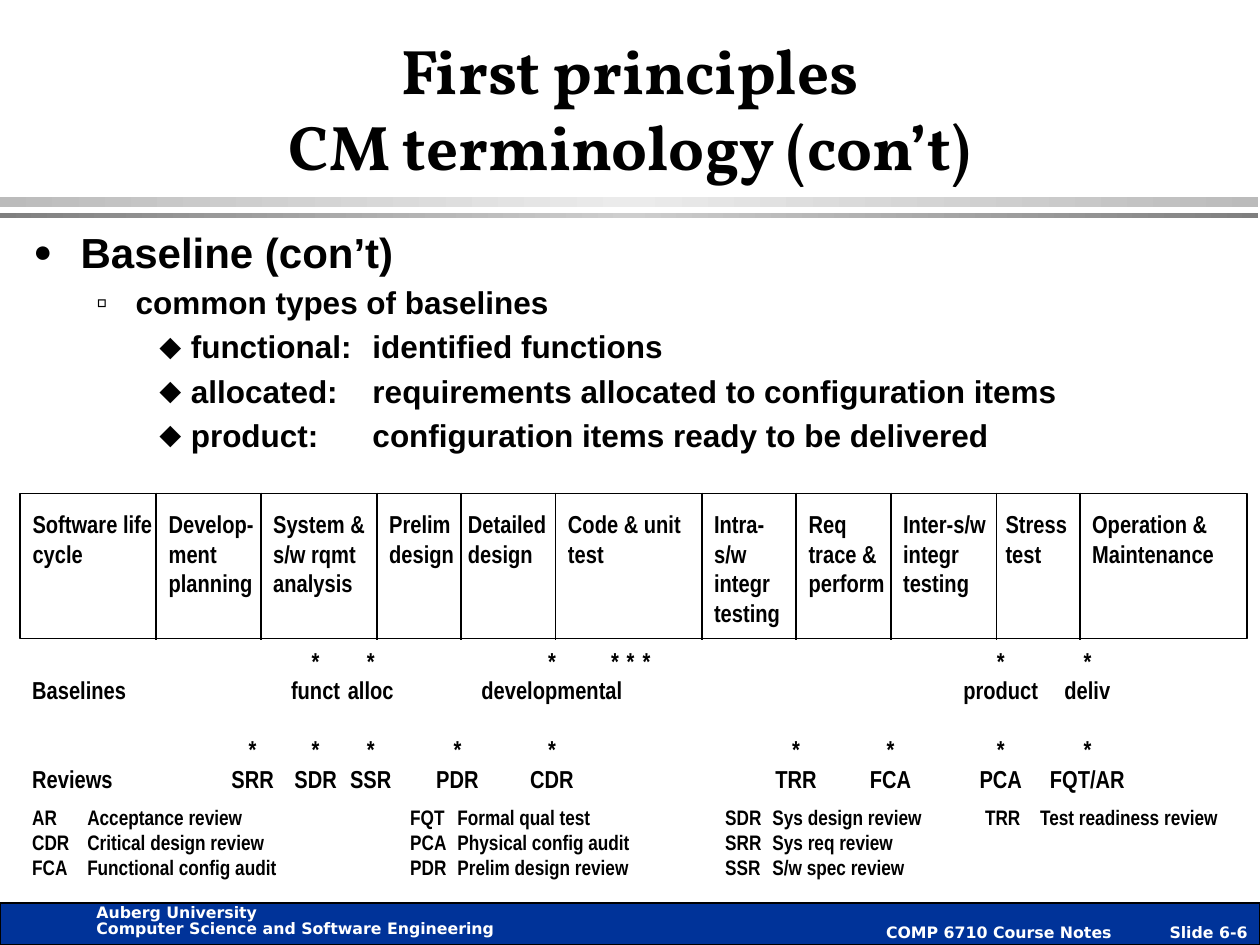
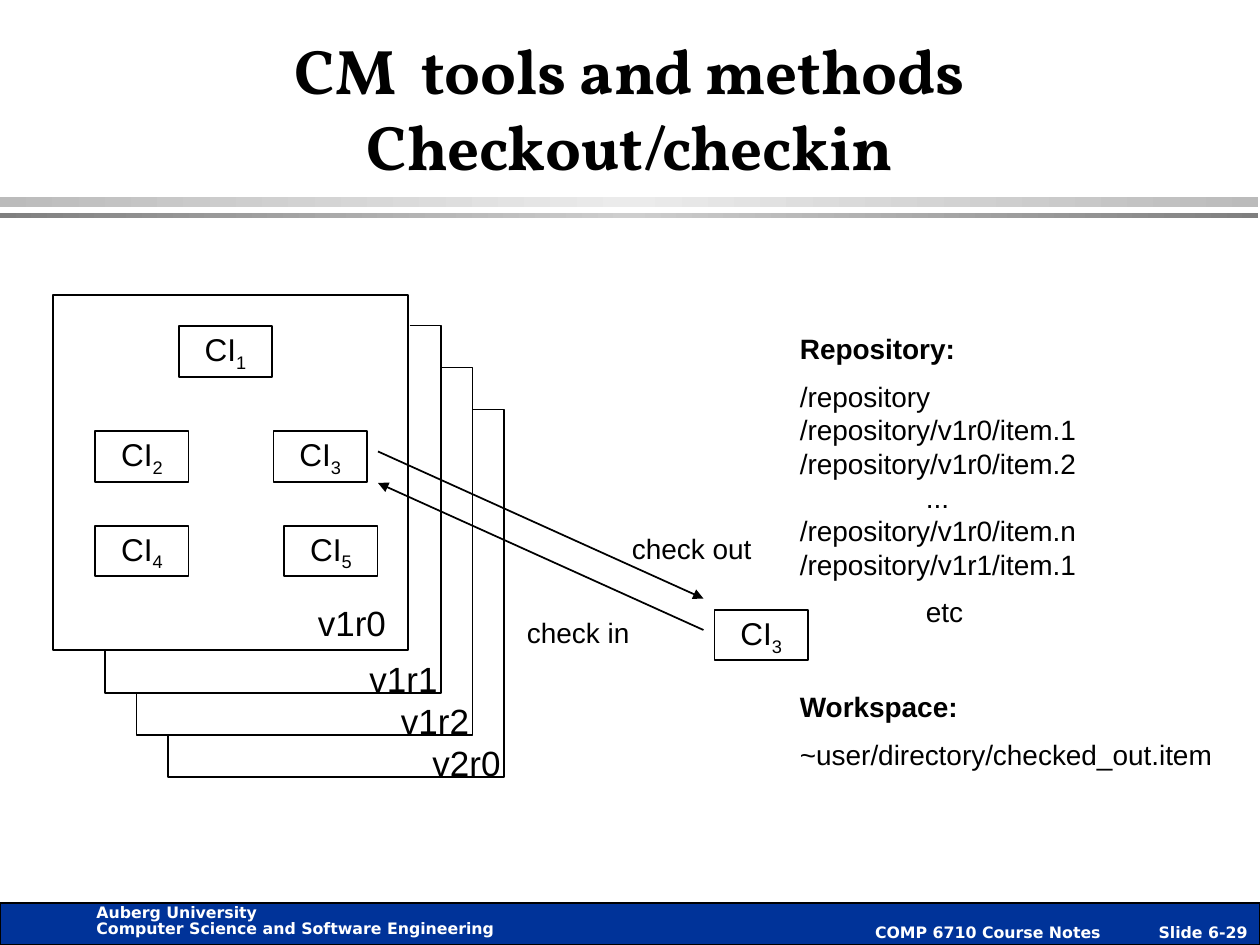
import copy

import lxml.etree
import pptx
import pptx.dml.color
import pptx.enum.shapes
import pptx.enum.text
import pptx.oxml.ns
import pptx.util

Pt = pptx.util.Pt
qn = pptx.oxml.ns.qn
ALIGN = pptx.enum.text.PP_ALIGN
ANCHOR = pptx.enum.text.MSO_ANCHOR
RECTANGLE = pptx.enum.shapes.MSO_SHAPE.RECTANGLE

BLACK, WHITE, BLUE = "000000", "FFFFFF", "003399"
TITLE_FONT, BODY_FONT = "Vollkorn", "Arial"
NARROW_FONT, FOOTER_FONT = "Arial Narrow", "DejaVu Sans"
INSETS = (7.2, 3.6, 7.2, 3.6)


def color(value):
    return pptx.dml.color.RGBColor.from_string(value)


def child(parent, tag, **attributes):
    return lxml.etree.SubElement(parent, qn(tag), attributes)


def write(text_frame, text, size, font=BODY_FONT, bold=False, ink=BLACK,
          align=ALIGN.LEFT, anchor=ANCHOR.TOP, insets=INSETS, wrap=True):
    text_frame.text = text
    text_frame.word_wrap = wrap
    text_frame.vertical_anchor = anchor
    (text_frame.margin_left, text_frame.margin_top,
     text_frame.margin_right, text_frame.margin_bottom) = map(Pt, insets)
    for paragraph in text_frame.paragraphs:
        paragraph.alignment = align
        for run in paragraph.runs:
            run.font.size = Pt(size)
            run.font.name = font
            run.font.bold = bold
            run.font.color.rgb = color(ink)
    return text_frame.paragraphs


def add_text(slide, left, top, width, height, text, size, **style):
    shape = slide.shapes.add_textbox(Pt(left), Pt(top), Pt(width), Pt(height))
    return write(shape.text_frame, text, size, **style)


def outline(shape, width=1):
    shape.shadow.inherit = False
    shape.line.color.rgb = color(BLACK)
    shape.line.width = Pt(width)


def add_rectangle(slide, left, top, width, height):
    shape = slide.shapes.add_shape(RECTANGLE, Pt(left), Pt(top), Pt(width), Pt(height))
    outline(shape)
    shape.fill.background()
    return shape


def add_line(slide, start, end):
    line = slide.shapes.add_connector(pptx.enum.shapes.MSO_CONNECTOR.STRAIGHT,
                                      *map(Pt, start + end))
    line.line.color.rgb = color(BLACK)
    line.line.width = Pt(1)
    child(line._element.spPr, "a:effectLst")
    return line


def add_arrow(slide, start, end):
    arrow = add_line(slide, start, end)
    child(arrow.line._get_or_add_ln(), "a:tailEnd", type="triangle")


def set_indent(paragraph, margin, hanging):
    properties = paragraph._p.get_or_add_pPr()
    properties.set("marL", str(Pt(margin)))
    properties.set("indent", str(Pt(-hanging)))


def set_tabs(paragraph, stops, align="l"):
    tab_list = child(paragraph._p.get_or_add_pPr(), "a:tabLst")
    for stop in stops:
        child(tab_list, "a:tab", pos=str(Pt(stop)), algn=align)


def set_bullet(paragraph, character, scale):
    properties = paragraph._p.get_or_add_pPr()
    child(child(properties, "a:buClr"), "a:srgbClr", val=BLACK)
    child(properties, "a:buSzPct", val=str(scale * 1000))
    child(properties, "a:buFont", typeface=BODY_FONT)
    child(properties, "a:buChar", char=character)


def add_band(slide, left, top, width, height, edge, middle):
    band = add_rectangle(slide, left, top, width, height)
    band.line.fill.background()
    band.fill.gradient()
    band.fill.gradient_angle = 0
    stop_list = next(band._element.iter(qn("a:gsLst")))
    stop_list.append(copy.deepcopy(stop_list[0]))
    for index, stop in enumerate(band.fill.gradient_stops):
        stop.position = index / 2
        stop.color.rgb = color(middle if index == 1 else edge)


def add_footer(slide, left, top, width, height, number):
    bar = add_rectangle(slide, left, top, width, height)
    outline(bar, 0.75)
    bar.fill.solid()
    bar.fill.fore_color.rgb = color(BLUE)
    label = dict(font=FOOTER_FONT, bold=True, ink=WHITE, wrap=False)
    notes = write(bar.text_frame, f"COMP 6710 Course Notes\tSlide {number}", 9,
                  align=ALIGN.RIGHT, anchor=ANCHOR.BOTTOM,
                  insets=(7.2, 0, 7.2, 2), **label)
    set_indent(notes[0], 18, 18)
    school = add_text(slide, left + 48, top - 1.6, 242, 25,
                      "Auberg University\nComputer Science and Software Engineering",
                      9, **label)
    for paragraph in school:
        paragraph.line_spacing = Pt(9)


def add_base_slide(presentation, title, number):
    slide = presentation.slides.add_slide(presentation.slide_layouts[6])
    add_band(slide, 0, 112.5, 719, 5.75, "BBBBBB", "EBEBEB")
    add_band(slide, 0, 121.5, 719, 3, "7F7F7F", "CECECE")
    add_footer(slide, 0, 516, 720, 24, number)
    add_text(slide, 54, 18, 612, 90, title, 36, font=TITLE_FONT, bold=True,
             align=ALIGN.CENTER, anchor=ANCHOR.BOTTOM)
    return slide


def add_outline(slide, left, top, width, height):
    levels = [(24, 27, 27, "●", 75), (18, 58.5, 22.5, "▫", 100), (18, 90, 18, "⬥", 100)]
    items = [
        (0, "Baseline (con’t)"),
        (1, "common types of baselines"),
        (2, "functional:\tidentified functions"),
        (2, "allocated:\trequirements allocated to configuration items"),
        (2, "product:\tconfiguration items ready to be delivered"),
    ]
    paragraphs = add_text(slide, left, top, width, height,
                          "\n".join(text for level, text in items), 18, bold=True)
    for paragraph, (level, text) in zip(paragraphs, items):
        size, margin, hanging, character, scale = levels[level]
        paragraph.level = level
        set_indent(paragraph, margin, hanging)
        set_bullet(paragraph, character, scale)
        set_tabs(paragraph, [193.8])
        paragraph.runs[0].font.size = Pt(size)
        if level:
            paragraph.space_before = Pt(size * 0.2)


def add_life_cycle(slide, left, top, width, height):
    add_rectangle(slide, left, top, width, height)
    for divider in (77.8, 137.5, 203.8, 252, 306, 389.5, 443.5, 497.5, 558, 605.5):
        add_line(slide, (left + divider, top - 0.5), (left + divider, top + height + 0.5))
    phases = [
        (0, 85, "Software life\ncycle", None),
        (77.8, 67, "Develop-ment planning", None),
        (137.5, 78.5, "System & s/w rqmt analysis", None),
        (203.8, 108.7, "Prelim\tDetailed\ndesign\tdesign", 45),
        (306, 90.7, "Code & unit\ntest", None),
        (389.5, 60.5, "Intra-s/w integr testing", None),
        (443.5, 60.5, "Req trace & perform", None),
        (497.5, 114.5, "Inter-s/w\tStress\nintegr\ttest\ntesting", 58.5),
        (605.5, 103, "Operation &\nMaintenance", None),
    ]
    for offset, box_width, text, stop in phases:
        paragraphs = add_text(slide, left + offset, top + 5.5, box_width, height - 9,
                              text, 14, font=NARROW_FONT, bold=True)
        if stop:
            for paragraph in paragraphs:
                set_tabs(paragraph, [stop])


def add_milestones(slide, left, top, width, height):
    rows = [
        "\t\t*\t*\t\t*\t*\t*\t*\t\t\t\t*\t*",
        "Baselines\t\tfunct\talloc\t\tdevelopmental\t\t\t\t\t\tproduct\tdeliv",
        "\t*\t*\t*\t*\t*\t\t\t\t\t*\t*\t*\t*",
        "Reviews\tSRR\tSDR\tSSR\tPDR\tCDR\t\t\t\t\tTRR\tFCA\tPCA\tFQT/AR",
    ]
    stops = [126, 162, 193.5, 243, 297, 333, 342, 351, 387, 436.5, 490.5, 553.5, 603]
    paragraphs = add_text(slide, left, top, width, height, "\n".join(rows), 14,
                          font=NARROW_FONT, bold=True)
    for paragraph in paragraphs:
        set_tabs(paragraph, stops, "ctr")
    paragraphs[2].space_before = Pt(16.75)


def add_abbreviations(slide, left, top, width, height):
    rows = [
        "AR\tAcceptance review\tFQT\tFormal qual test\tSDR\tSys design review"
        "\tTRR\tTest readiness review",
        "CDR\tCritical design review\tPCA\tPhysical config audit\tSRR\tSys req review",
        "FCA\tFunctional config audit\tPDR\tPrelim design review\tSSR\tS/w spec review",
    ]
    for paragraph in add_text(slide, left, top, width, height, "\n".join(rows), 12,
                              font=NARROW_FONT, bold=True):
        set_tabs(paragraph, [31.5, 216, 243, 396, 423, 544.5, 576])


def add_item(slide, left, top, width, height, number):
    box = add_rectangle(slide, left, top, width, height)
    paragraph = write(box.text_frame, "CI", 18, align=ALIGN.CENTER,
                      anchor=ANCHOR.MIDDLE, wrap=False)[0]
    subscript = paragraph.add_run()
    subscript.text = str(number)
    subscript.font.size = Pt(18)
    subscript.font.name = BODY_FONT
    subscript.font.color.rgb = color(BLACK)
    subscript._r.get_or_add_rPr().set("baseline", "-25000")


def add_versions(slide, left, top, width, height):
    front = add_rectangle(slide, left, top, width, height)
    write(front.text_frame, "v1r0", 20, align=ALIGN.RIGHT, anchor=ANCHOR.BOTTOM,
          insets=(7.2, 3.6, 12.8, 3.6))
    items = [(71.8, 18), (24.1, 78), (126, 78), (24.1, 132), (132.1, 132)]
    for number, (across, down) in enumerate(items, 1):
        add_item(slide, left + across, top + down, 53.3, 28.8, number)
    for index, version in enumerate(("v1r1", "v1r2", "v2r0")):
        x, y = left + 29.6 + 18 * index, top + 17.5 + 24 * index
        corners = [(174, 0), (192, 0), (192, 210), (0, 210), (0, 186)]
        points = [(Pt(x + across), Pt(y + down)) for across, down in corners]
        builder = slide.shapes.build_freeform(*points[0])
        builder.add_line_segments(points[1:], close=False)
        sheet = builder.convert_to_shape()
        outline(sheet)
        sheet.fill.background()
        add_text(slide, x + 144, y + 186, 96.5, 31, version, 20)


def add_exchange(slide, left, top, width, height):
    right, bottom = left + width, top + height
    add_arrow(slide, (left, top), (right, bottom - 18))
    add_arrow(slide, (right, bottom), (left, top + 18))
    add_text(slide, left + 138, top + 42, 162.5, 26.5, "check out", 16)
    add_text(slide, left + 78, top + 90, 162.5, 26.5, "check in", 16)
    add_item(slide, right + 6.4, bottom - 11.4, 53.3, 28.8, 3)


def add_directories(slide, left, top, width, height):
    listing = "\v".join(["/repository", "/repository/v1r0/item.1",
                         "/repository/v1r0/item.2", "\t...",
                         "/repository/v1r0/item.n", "/repository/v1r1/item.1"])
    texts = ["Repository:", listing, "\tetc", "Workspace:",
             "~user/directory/checked_out.item"]
    paragraphs = add_text(slide, left, top, width, height, "\n".join(texts), 16)
    for paragraph, gap in zip(paragraphs, (0, 8, 8, 35.2, 8)):
        paragraph.space_before = Pt(gap)
        set_tabs(paragraph, [72])
    for heading in (paragraphs[0], paragraphs[3]):
        heading.runs[0].font.bold = True


def build_terminology(presentation):
    slide = add_base_slide(presentation, "First principles\vCM terminology (con’t)", "6-6")
    add_life_cycle(slide, 11.5, 282, 701.3, 83)
    add_milestones(slide, 11.3, 365.6, 702.7, 90.7)
    add_abbreviations(slide, 11.3, 456, 708.5, 50)
    add_outline(slide, 12, 126, 684, 150)


def build_checkout(presentation):
    slide = add_base_slide(presentation, "CM  tools and methods\vCheckout/checkin", "6-29")
    add_versions(slide, 30.4, 168.5, 203, 203)
    add_directories(slide, 450, 186, 258.5, 267)
    add_exchange(slide, 216, 258, 186, 102)


presentation = pptx.Presentation()
presentation.slide_width, presentation.slide_height = Pt(720), Pt(540)
build_terminology(presentation)
build_checkout(presentation)
presentation.save("out.pptx")
